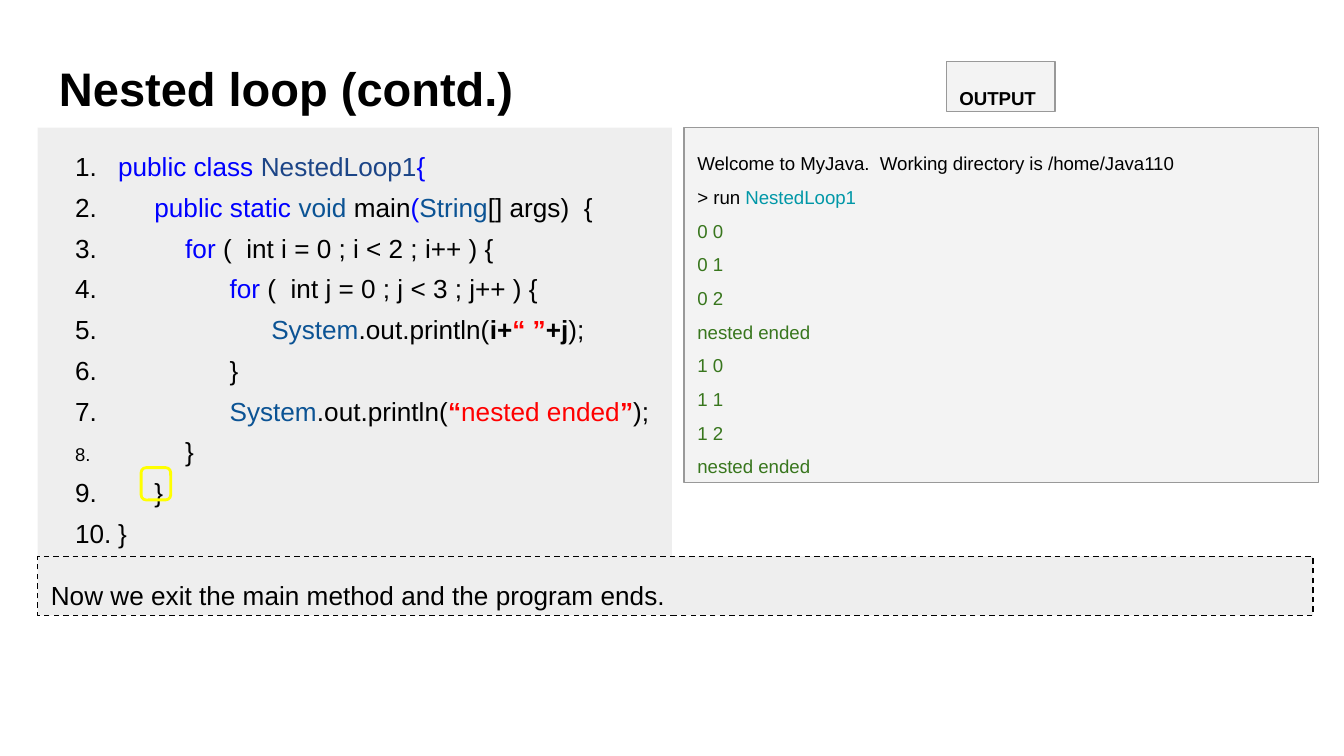
from pptx import Presentation
from pptx.dml.color import RGBColor
from pptx.enum.dml import MSO_LINE
from pptx.enum.shapes import MSO_SHAPE
from pptx.enum.text import MSO_ANCHOR, PP_ALIGN
from pptx.oxml.ns import qn
from pptx.util import Inches, Pt
from lxml.etree import SubElement

BLACK = RGBColor(0, 0, 0)
BLUE = RGBColor(0x00, 0x00, 0xFF)
NAVY = RGBColor(0x1C, 0x45, 0x87)
STEEL = RGBColor(0x0B, 0x53, 0x94)
RED = RGBColor(0xFF, 0x00, 0x00)
GREEN = RGBColor(0x38, 0x76, 0x1D)
TEAL = RGBColor(0x00, 0x97, 0xA7)
YELLOW = RGBColor(0xFF, 0xFF, 0x00)
PALE = RGBColor(0xEE, 0xEE, 0xEE)
LIGHT = RGBColor(0xF3, 0xF3, 0xF3)
GRAY = RGBColor(0x99, 0x99, 0x99)

# Content: a run is (text, colour) or (text, colour, bold)
TITLE = "Nested loop (contd.)"
NOTE = "Now we exit the main method and the program ends."
CODE = [  # (code indent in inches, runs)
    (0, [("public class ", BLUE), ("NestedLoop1", NAVY), ("{", BLUE)]),
    (0.27, [("public static ", BLUE), ("void ", STEEL), ("main", BLACK),
            ("(", BLUE), ("String", STEEL), ("[] args)  {", BLACK)]),
    (0.5, [("for ", BLUE), ("(  int i = 0 ; i < 2 ; i++ ) {", BLACK)]),
    (0.83, [("for ", BLUE), ("(  int j = 0 ; j < 3 ; j++ ) {", BLACK)]),
    (1.14, [("System", STEEL), (".out.println(", BLACK), ("i+", BLACK, True),
            ("“ ”", RED, True), ("+j", BLACK, True), (");", BLACK)]),
    (0.83, [("}", BLACK)]),
    (0.83, [("System", STEEL), (".out.println(", BLACK), ("“", RED, True),
            ("nested ended", RED), ("”", RED, True), (");", BLACK)]),
    (0.5, [("}", BLACK)]),
    (0.27, [("}", BLACK)]),
    (0, [("}", BLACK)]),
]
SMALL = 7  # row whose number is set smaller
SHOWN = ["0 0", "0 1", "0 2", "nested ended", "1 0", "1 1", "1 2", "nested ended"]
OUTPUT = [
    [("Welcome to MyJava.  Working directory is /home/Java110", BLACK)],
    [("> run ", BLACK), ("NestedLoop1", TEAL)],
] + [[(line, GREEN)] for line in SHOWN]

# Layout in inches
LEFT, RIGHT, TOP, WIDE = 0.28, 5.09, 0.95, 4.72
CODE_H = 3.19

deck = Presentation()
deck.slide_width = Inches(10)
deck.slide_height = deck.slide_width * 9 // 16
slide = deck.slides.add_slide(deck.slide_layouts[6])


def write(shape, rows, size, space=1.0, bold=False):
    frame = shape.text_frame
    frame.word_wrap = True
    frame.vertical_anchor = MSO_ANCHOR.TOP
    frame.margin_left = frame.margin_right = Inches(0.1)
    frame.margin_top = frame.margin_bottom = Inches(0.1)
    for i, runs in enumerate(rows):
        para = frame.paragraphs[0] if i == 0 else frame.add_paragraph()
        para.alignment = PP_ALIGN.LEFT
        para.line_spacing = space
        para.font.name, para.font.size = "Arial", Pt(size)
        para.font.bold = bold
        for text, color, *strong in runs:
            run = para.add_run()
            run.text = text
            run.font.color.rgb = color
            if strong:
                run.font.bold = True
    return frame


def box(x, y, w, h, fill=None, line=None, width=0.75, kind=MSO_SHAPE.RECTANGLE):
    shape = slide.shapes.add_shape(kind, Inches(x), Inches(y), Inches(w), Inches(h))
    shape.shadow.inherit = False
    if fill is None:
        shape.fill.background()
    else:
        shape.fill.solid()
        shape.fill.fore_color.rgb = fill
    if line is None:
        shape.line.fill.background()
    else:
        shape.line.color.rgb = line
        shape.line.width = Pt(width)
    return shape


def number(para, indent, share=100):
    """Number a code line; the number stays put while the code is indented."""
    props = para._p.get_or_add_pPr()
    props.set("marL", str(Inches(0.5 + indent)))
    props.set("indent", str(-Inches(0.32 + indent)))
    # the bullet's parts come before the default run properties
    tail = props.find(qn("a:defRPr"))
    color = SubElement(props, qn("a:buClr"))
    SubElement(color, qn("a:srgbClr"), val=str(BLACK))
    SubElement(props, qn("a:buSzPct"), val=str(share * 1000))
    SubElement(props, qn("a:buFont"), typeface="Arial")
    SubElement(props, qn("a:buAutoNum"), type="arabicPeriod")
    if tail is not None:
        props.append(tail)


# Title
head = slide.shapes.add_textbox(Inches(0.34), Inches(0.33), Inches(4.34), Inches(0.62))
write(head, [[(TITLE, BLACK)]], 25.2, bold=True).vertical_anchor = MSO_ANCHOR.BOTTOM
head.text_frame.margin_bottom = Inches(0.09)

# Numbered code
code = write(box(LEFT, TOP, WIDE, CODE_H, PALE), [runs for _, runs in CODE], 14, 1.3)
for i, (para, (indent, _)) in enumerate(zip(code.paragraphs, CODE)):
    number(para, indent, 71 if i == SMALL else 100)

# Frame around the closing brace
box(1.05, 3.48, 0.22, 0.24, line=YELLOW, width=1.5, kind=MSO_SHAPE.ROUNDED_RECTANGLE)

# Explanation under the code
note = box(LEFT, TOP + CODE_H, 9.49, 0.44, PALE, BLACK)
note.line.dash_style = MSO_LINE.DASH
write(note, [[(NOTE, BLACK)]], 14, 1.3)

# Output panel and its label
write(box(RIGHT, TOP, WIDE, 2.64, LIGHT, GRAY), OUTPUT, 10, 1.5)
write(box(7.04, 0.46, 0.81, 0.37, LIGHT, GRAY), [[("OUTPUT", BLACK)]], 10, 1.5, True)

deck.save("out.pptx")
